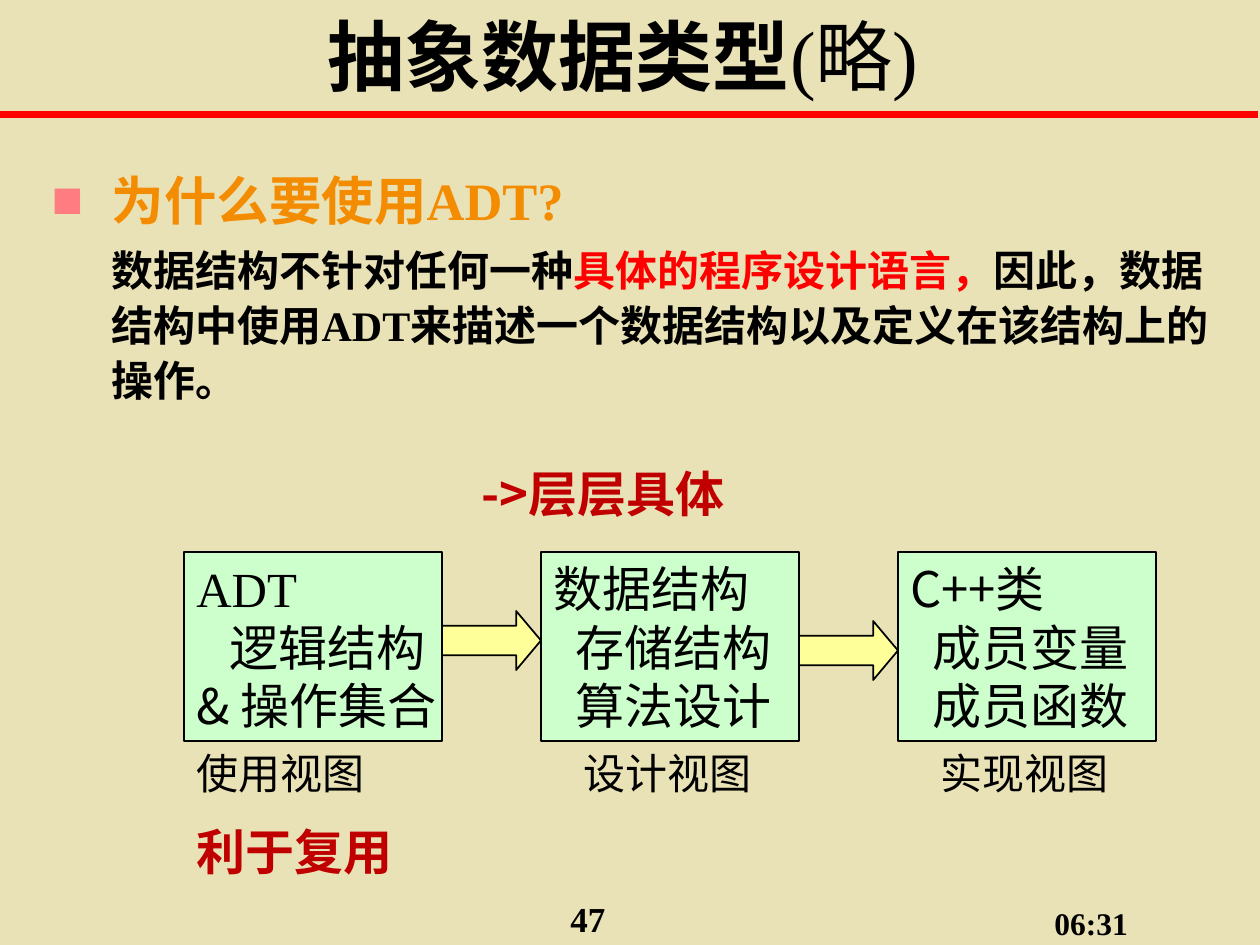
import pptx
import pptx.dml.color
import pptx.enum.shapes
import pptx.enum.text
import pptx.oxml.ns
import pptx.util
import lxml.etree

SCALE = 914400 / 126
SERIF, SANS, SANS_JP = "Times New Roman", "Noto Sans CJK SC", "Noto Sans CJK JP"
ANCHOR = pptx.enum.text.MSO_ANCHOR
SHAPE = pptx.enum.shapes.MSO_SHAPE
EMPHASIS = {"size": 28, "name": SANS_JP, "color": "C00000", "bold": True}


def px(length):
    """Turn px into EMU."""
    return pptx.util.Emu(round(length * SCALE))


def rgb(code):
    """Turn a hex string into a colour."""
    return pptx.dml.color.RGBColor.from_string(code)


def subelement(parent, tag, **attributes):
    """Add a DrawingML child element."""
    return lxml.etree.SubElement(parent, pptx.oxml.ns.qn(tag), **attributes)


def place(part, box):
    """Move a part to a box of left, top, width and height."""
    for side, length in zip(("left", "top", "width", "height"), box):
        setattr(part, side, px(length))


def add_run(paragraph, wording, style):
    """Append formatted text to a paragraph."""
    run = paragraph.add_run()
    run.text = wording
    values = {"name": SERIF, "bold": False} | style
    values["size"] = pptx.util.Pt(values["size"])
    run.font.color.rgb = rgb(values.pop("color", "000000"))
    for attribute, value in values.items():
        setattr(run.font, attribute, value)
    east_asian = SANS if values["name"] == SERIF else values["name"]
    subelement(run.font._element, "a:ea", typeface=east_asian)


def write(frame, lines, wrap=True, anchor=ANCHOR.TOP):
    """Fill a frame with lines, each a list of runs and a dict of paragraph values."""
    frame.word_wrap = wrap
    frame.vertical_anchor = anchor
    frame.auto_size = pptx.enum.text.MSO_AUTO_SIZE.NONE
    for number, (runs, layout) in enumerate(lines):
        paragraph = frame.add_paragraph() if number else frame.paragraphs[0]
        for attribute, value in layout.items():
            if attribute in ("marL", "indent"):
                paragraph._p.get_or_add_pPr().set(attribute, str(px(value)))
            else:
                setattr(paragraph, attribute, value)
        for wording, style in runs:
            add_run(paragraph, wording, style)


def add_label(slide, box, *lines):
    """Add a text box."""
    label = slide.shapes.add_textbox(*map(px, box))
    write(label.text_frame, lines)


def add_block(slide, kind, box, fill):
    """Add a filled shape with a thin black outline."""
    block = slide.shapes.add_shape(kind, *map(px, box))
    block.shadow.inherit = False
    block.fill.solid()
    block.fill.fore_color.rgb = rgb(fill)
    block.line.color.rgb = rgb("000000")
    block.line.width = pptx.util.Pt(1)
    return block


def build_heading(slide, box):
    """Place the title and the red rule under it."""
    place(slide.shapes.title, box)
    runs = [("抽象数据类型", {"size": 44, "bold": True}), ("(略)", {"size": 44})]
    layout = {"alignment": pptx.enum.text.PP_ALIGN.CENTER}
    write(slide.shapes.title.text_frame, [(runs, layout)], anchor=ANCHOR.MIDDLE)
    rule_top = px(box[1] + 115)
    rule = slide.shapes.add_connector(
        pptx.enum.shapes.MSO_CONNECTOR.STRAIGHT, 0, rule_top, px(1258), rule_top)
    rule.line.color.rgb = rgb("FF0101")
    rule.line.width = pptx.util.Pt(4)
    subelement(rule._element.spPr, "a:effectLst")


def build_question(slide, box):
    """Place the question and its answer."""
    body = slide.placeholders[1]
    place(body, box)
    answer = {"size": 24, "bold": True}
    question = {"size": 30, "bold": True, "color": "F48C02"}
    layout = {"marL": 74, "line_spacing": 1.1}
    write(body.text_frame, [
        ([("为什么要使用ADT?", question)], layout | {"indent": -60}),
        ([("数据结构不针对任何一种", answer),
          ("具体的程序设计语言，", answer | {"color": "FF0000"}),
          ("因此，数据结构中使用ADT来描述一个数据结构以及定义在该结构上的操作。", answer)],
         layout | {"indent": 0}),
    ])
    marked, plain = (p._p.get_or_add_pPr() for p in body.text_frame.paragraphs)
    subelement(subelement(marked, "a:buClr"), "a:srgbClr", val="FF7C80")
    subelement(marked, "a:buChar", char="■")
    subelement(plain, "a:buNone")


def build_view(slide, box, lines, caption, shift, arrow_top=None):
    """Place one view: its box, its caption and the arrow leading to it."""
    left, top, width, height = box
    block = add_block(slide, SHAPE.RECTANGLE, box, "CCFFCC")
    paragraphs = [
        ([(wording, {"size": 28, "name": font})],
         {"marL": indent, "alignment": pptx.enum.text.PP_ALIGN.LEFT})
        for wording, font, indent in lines]
    write(block.text_frame, paragraphs, wrap=False, anchor=ANCHOR.MIDDLE)
    if arrow_top is not None:
        arrow = add_block(
            slide, SHAPE.RIGHT_ARROW, (left - 99, top + arrow_top, 99, 59), "FFFF99")
        arrow.adjustments[0], arrow.adjustments[1] = 0.5, 0.42
    add_label(slide, (left + shift, top + height, width - shift, 64),
              ([(caption, {"size": 24})], {}))


def build_views(slide, box):
    """Place the three views, from the abstract to the concrete."""
    left, top, width, height = box
    pitch = 357
    views = [
        ([("ADT", SERIF, 0), ("逻辑结构", SANS, 33), ("& 操作集合", SANS, 0)],
         "使用视图", 0, None),
        ([("数据结构", SANS, 0), ("存储结构", SANS, 22), ("算法设计", SANS, 22)],
         "设计视图", 30, 59),
        ([("C++类", SANS, 0), ("成员变量", SANS, 22), ("成员函数", SANS, 22)],
         "实现视图", 30, 69),
    ]
    for number, view in enumerate(views):
        build_view(slide, (left + number * pitch, top, width - 2 * pitch, height), *view)
    add_label(slide, (left + 285, top - 95, 430, 72), ([("->层层具体", EMPHASIS)], {}))
    add_label(slide, (left, top + 263, 258, 78), ([("利于复用", EMPHASIS)], {}))


def build_footer(slide, box):
    """Place the page number and the time."""
    left, top = box[:2]
    add_label(slide, (left, top, 199, 54), ([("47", {"size": 20, "bold": True})], {}))
    add_label(slide, (left + 484, top + 7, 218, 50),
              ([("06:31", {"size": 18, "bold": True})], {}))


def main():
    """Build the slide and save it."""
    deck = pptx.Presentation()
    deck.slide_width, deck.slide_height = px(1260), px(945)
    slide = deck.slides.add_slide(deck.slide_layouts[1])
    slide.background.fill.solid()
    slide.background.fill.fore_color.rgb = rgb("E9E2B6")
    build_heading(slide, (25, 0, 1196, 110))
    build_question(slide, (25, 155, 1207, 735))
    build_views(slide, (184, 552, 972, 189))
    build_footer(slide, (558, 891, 702, 54))
    deck.save("out.pptx")


if __name__ == "__main__":
    main()
